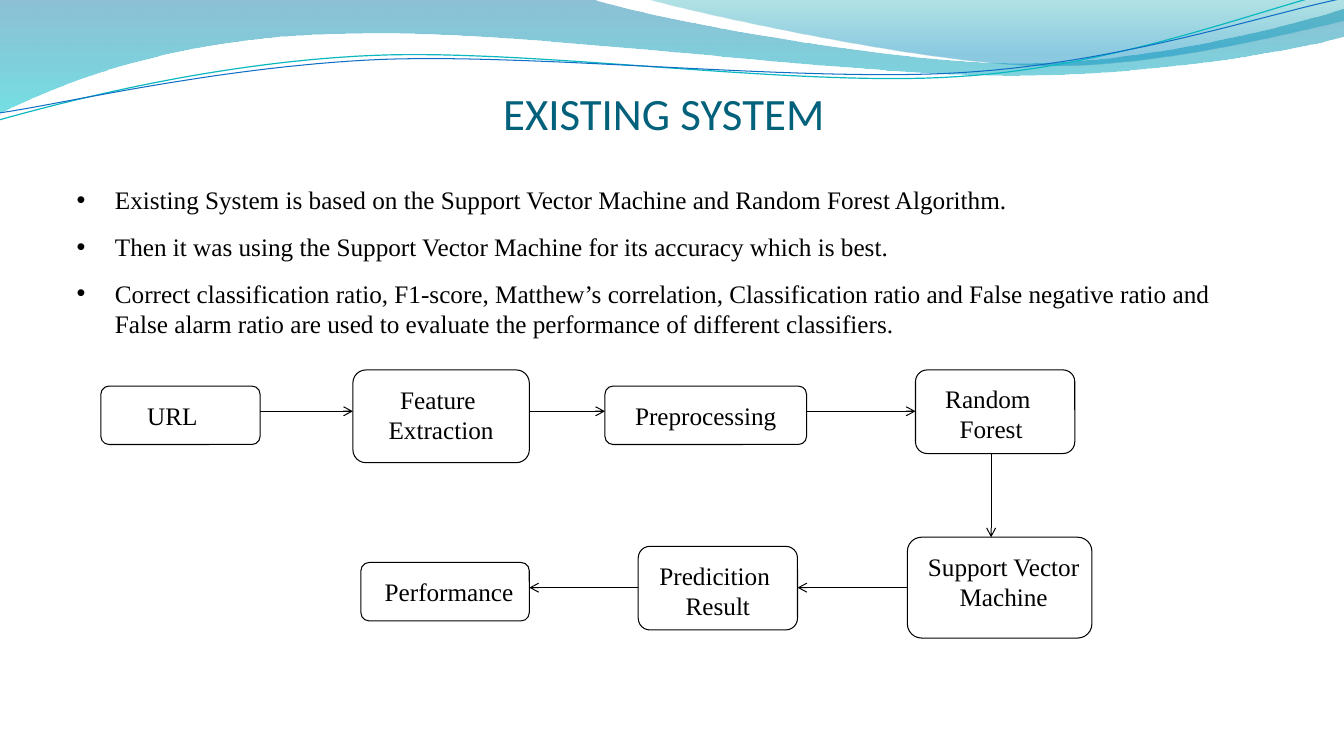
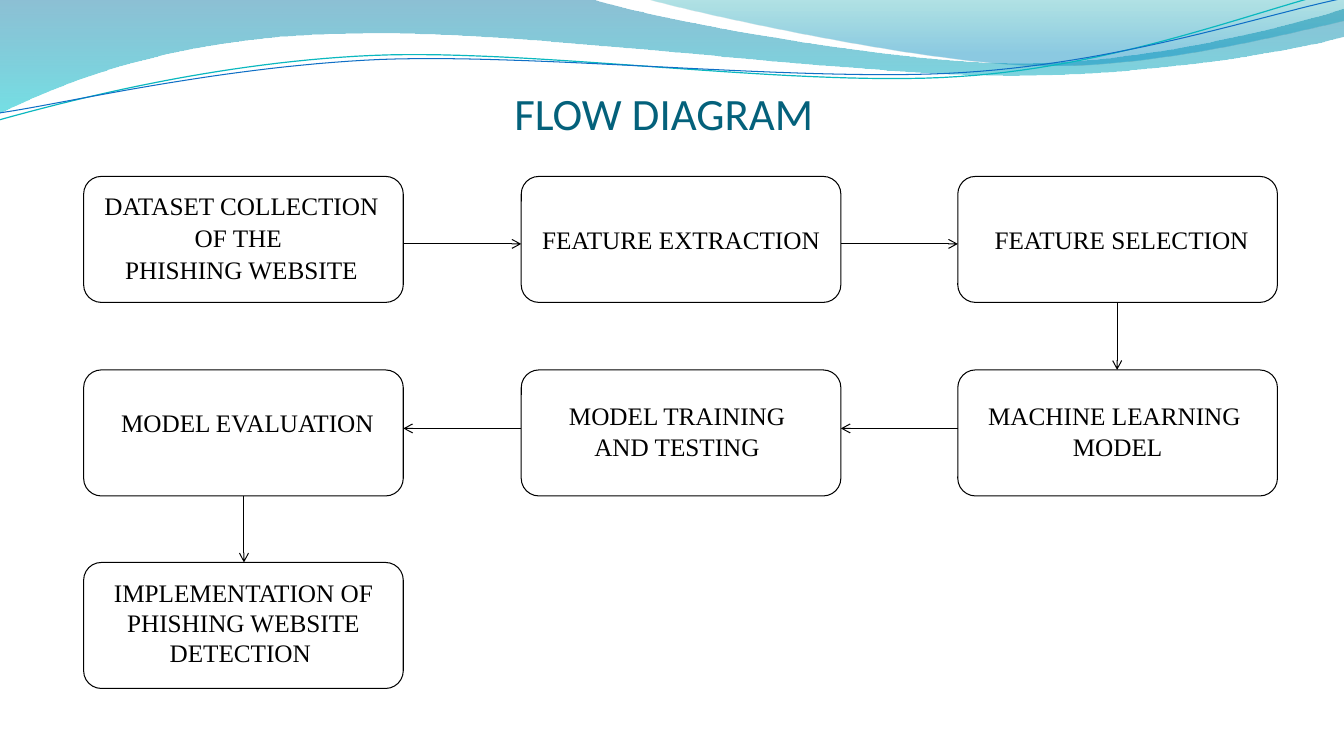
from lxml.etree import SubElement
from pptx import Presentation
from pptx.dml.color import RGBColor
from pptx.enum.shapes import MSO_CONNECTOR, MSO_SHAPE
from pptx.enum.text import MSO_ANCHOR, MSO_AUTO_SIZE, PP_ALIGN
from pptx.oxml.ns import qn
from pptx.util import Inches, Pt

BLACK = RGBColor(0x00, 0x00, 0x00)
TITLE_TEAL = RGBColor(0x04, 0x61, 0x7B)
DEEP_BLUE = RGBColor(0x00, 0x74, 0xA1)
AQUA = RGBColor(0x00, 0xC6, 0xCF)
SEA_GREEN = RGBColor(0x00, 0xA1, 0xA9)
SKY_BLUE = RGBColor(0x00, 0x8B, 0xBF)
LINE_TEAL = RGBColor(0x0A, 0xB8, 0xBF)
LINE_BLUE = RGBColor(0x0F, 0x6F, 0xC6)

# Outlines: a start point, then lines (x, y) and cubic curves (x1, y1, x2, y2, x, y).
# Gradient stops: position, colour, opacity in percent.
WAVE_BANDS = [
    ([(0, 0), (5.87, -0.01), (6.34, 0.17, 8.85, 0.63, 10.11, 0.63),
      (11.38, 0.63, 12.78, 0.26, 13.33, 0.09), (13.35, 0.36),
      (13.11, 0.44, 11.6, 0.76, 9.94, 0.75), (8.29, 0.75, 5.09, 0.28, 3.43, 0.34),
      (1.72, 0.36, 0.61, 0.83, -0.01, 1.13)],
     [(0, DEEP_BLUE, 45), (1, AQUA, 55)]),
    ([(6.39, -0.01), (6.79, 0.11, 9.09, 0.62, 10.25, 0.65),
      (11.41, 0.69, 12.82, 0.32, 13.33, 0.21), (13.33, 0)],
     [(0, SEA_GREEN, 30), (0.8, SKY_BLUE, 45)]),
]
WAVE_LINES = [
    ([(-0.01, 1.19), (0.64, 1.01, 2.11, 0.62, 3.69, 0.55),
      (5.27, 0.48, 7.9, 0.87, 9.5, 0.76), (11.1, 0.66, 12.52, 0.08, 13.31, -0.1)],
     LINE_TEAL, 0.85),
    ([(0, 1.12), (0.63, 1.03, 2.18, 0.66, 3.78, 0.59),
      (5.37, 0.53, 7.96, 0.82, 9.55, 0.72), (11.15, 0.62, 12.55, 0.14, 13.34, -0.02)],
     LINE_BLUE, 0.75),
]


def flatten(outline, steps=30):
    """Turn an outline of lines and cubic curves into points."""
    points = [outline[0]]
    for seg in outline[1:]:
        if len(seg) == 2:
            points.append(seg)
            continue
        (x0, y0), (x1, y1, x2, y2, x3, y3) = points[-1], seg
        for i in range(1, steps + 1):
            t = i / steps
            a, b, c, d = (1 - t) ** 3, 3 * t * (1 - t) ** 2, 3 * t * t * (1 - t), t ** 3
            points.append((a * x0 + b * x1 + c * x2 + d * x3,
                           a * y0 + b * y1 + c * y2 + d * y3))
    return [(Inches(x), Inches(y)) for x, y in points]


class Deck:
    title_font, body_font = "Calibri", "Times New Roman"
    title_size, body_size = Pt(32), Pt(18)
    line_width = Pt(0.75)

    def __init__(self):
        self.prs = Presentation()
        self.prs.slide_width, self.prs.slide_height = Inches(13.33), Inches(7.5)
        self.layout = self.prs.slide_layouts[5]
        self.slide = None

    def add_slide(self, title):
        first = self.slide is None
        self.slide = self.prs.slides.add_slide(self.layout)
        if first:
            self.decorate_layout()
        sp = self.slide.shapes.title
        sp.left, sp.top, sp.width, sp.height = map(Inches, (0.75, 0.83, 11.67, 0.55))
        tf = sp.text_frame
        tf.text = title
        tf.auto_size = MSO_AUTO_SIZE.NONE
        tf.vertical_anchor = MSO_ANCHOR.BOTTOM
        tf.margin_left = tf.margin_right = tf.margin_bottom = 0
        tf.margin_top = Inches(0.01)
        p = tf.paragraphs[0]
        p.alignment = PP_ALIGN.CENTER
        self.style(p, self.title_font, self.title_size, TITLE_TEAL)

    def style(self, p, font, size, color):
        for r in p.runs:
            r.font.name, r.font.size = font, size
            r.font.color.rgb = color

    def decorate_layout(self):
        """Draw the waves and place them in the shared layout."""
        waves = [self.band(*band) for band in WAVE_BANDS]
        waves += [self.curve(*line) for line in WAVE_LINES]
        for i, sp in enumerate(waves):
            sp.element.nvSpPr.cNvPr.set("id", str(20 + i))
            self.layout.shapes.element.insert(2 + i, sp.element)

    def outline(self, outline, close):
        points = flatten(outline)
        builder = self.slide.shapes.build_freeform(*points[0])
        builder.add_line_segments(points[1:], close=close)
        sp = builder.convert_to_shape()
        sp.shadow.inherit = False
        return sp

    def band(self, outline, stops):
        sp = self.outline(outline, True)
        sp.line.fill.background()
        sp.fill.gradient()
        sp.fill.gradient_angle = 270
        for stop, (position, color, _) in zip(sp.fill.gradient_stops, stops):
            stop.position, stop.color.rgb = position, color
        colors = sp.element.spPr.find(qn("a:gradFill")).iter(qn("a:srgbClr"))
        for clr, (_, _, opacity) in zip(colors, stops):
            SubElement(clr, qn("a:alpha"), val=str(opacity * 1000))
        return sp

    def curve(self, outline, color, width):
        sp = self.outline(outline, False)
        sp.fill.background()
        sp.line.color.rgb, sp.line.width = color, Pt(width)
        return sp

    def bullets(self, x, y, w, h, items):
        tf = self.slide.shapes.add_textbox(*map(Inches, (x, y, w, h))).text_frame
        tf.word_wrap = True
        tf.margin_left = tf.margin_right = tf.margin_bottom = 0
        tf.margin_top = Inches(0.16)
        tf.text = "\n".join(items)
        for p in tf.paragraphs:
            p.space_before = Pt(11.8)
            self.style(p, self.body_font, self.body_size, BLACK)
            pPr = p._p.get_or_add_pPr()
            pPr.set("marL", str(Inches(0.39)))
            pPr.set("indent", str(Inches(-0.38)))
            SubElement(pPr, qn("a:buFont"), typeface="Arial")
            SubElement(pPr, qn("a:buChar"), char="•")

    def box(self, x, y, w, h, text, dx=0, dy=0, pad=0.08, gap=0):
        """Rounded box; dx and dy shift its centred text."""
        sp = self.slide.shapes.add_shape(MSO_SHAPE.ROUNDED_RECTANGLE,
                                         *map(Inches, (x, y, w, h)))
        sp.adjustments[0] = 0.14
        sp.shadow.inherit = False
        sp.fill.background()
        sp.line.color.rgb, sp.line.width = BLACK, self.line_width
        tf = sp.text_frame
        tf.word_wrap = True
        tf.vertical_anchor = MSO_ANCHOR.MIDDLE
        tf.margin_left = Inches(pad + max(2 * dx, 0))
        tf.margin_right = Inches(pad + max(-2 * dx, 0))
        tf.margin_top = Inches(max(2 * dy, 0))
        tf.margin_bottom = Inches(max(-2 * dy, 0))
        tf.text = text
        for p in tf.paragraphs:
            p.alignment = PP_ALIGN.CENTER
            p.space_before = Pt(gap)
            self.style(p, self.body_font, self.body_size, BLACK)
        return sp

    def arrow(self, a, b, at):
        """Arrow from box a to box b, at a given y (across) or x (down)."""
        at = Inches(at)
        if a.left + a.width <= b.left:
            ends = a.left + a.width, at, b.left, at
        elif b.left + b.width <= a.left:
            ends = a.left, at, b.left + b.width, at
        else:
            ends = at, a.top + a.height, at, b.top
        cxn = self.slide.shapes.add_connector(MSO_CONNECTOR.STRAIGHT, *ends)
        cxn.line.color.rgb, cxn.line.width = BLACK, self.line_width
        spPr = cxn.element.spPr
        SubElement(spPr.find(qn("a:ln")), qn("a:tailEnd"), type="arrow")
        SubElement(spPr, qn("a:effectLst"))

    def chain(self, boxes, positions):
        for a, b, at in zip(boxes, boxes[1:], positions):
            self.arrow(a, b, at)


def existing_system(deck):
    deck.add_slide("EXISTING SYSTEM")
    deck.bullets(0.75, 1.67, 11.83, 1.71, [
        "Existing System is based on the Support Vector Machine and Random Forest Algorithm.",
        "Then it was using the Support Vector Machine for its accuracy which is best.",
        "Correct classification ratio, F1-score, Matthew’s correlation, Classification ratio "
        "and False negative ratio and False alarm ratio are used to evaluate the performance "
        "of different classifiers.",
    ])
    # Process steps: x, y, w, h, text, text shift
    steps = [
        (1, 3.83, 1.58, 0.58, "URL", -0.08, 0),
        (3.5, 3.67, 1.75, 0.92, "Feature \nExtraction", 0, -0.02),
        (6, 3.83, 2, 0.58, "Preprocessing"),
        (9.08, 3.67, 1.58, 0.83, "Random \nForest", -0.04, 0.02),
        (9, 5.33, 1.83, 1, "Support Vector\nMachine", 0.04, -0.06),
        (6.33, 5.42, 1.58, 0.83, "Predicition \nResult", 0, 0.02),
        (3.58, 5.58, 1.67, 0.58, "Performance", 0.04, 0),
    ]
    deck.chain([deck.box(*step) for step in steps], [4.08] * 3 + [9.83] + [5.83] * 2)


def flow_diagram(deck):
    deck.add_slide("FLOW DIAGRAM")
    cols, rows = (0.83, 5.17, 9.5), (1.75, 3.67, 5.58)
    # Stages: column, row, text, text shift, side padding
    stages = [
        (0, 0, "DATASET COLLECTION\nOF THE \nPHISHING WEBSITE", -0.02, -0.02),
        (1, 0, "FEATURE EXTRACTION"),
        (2, 0, "FEATURE SELECTION", 0.04, 0),
        (2, 1, "MACHINE LEARNING \nMODEL", 0, -0.02),
        (1, 1, "MODEL TRAINING AND TESTING", -0.04, -0.02, 0.3),
        (0, 1, "MODEL EVALUATION", 0.04, -0.1),
        (0, 2, "IMPLEMENTATION OF PHISHING WEBSITE DETECTION ", 0, -0.03),
    ]
    boxes = [deck.box(cols[c], rows[r], 3.17, 1.25, *label, gap=1)
             for c, r, *label in stages]
    deck.chain(boxes, [2.42, 2.42, 11.08, 4.25, 4.25, 2.42])


def main():
    deck = Deck()
    existing_system(deck)
    flow_diagram(deck)
    deck.prs.save("out.pptx")


if __name__ == "__main__":
    main()
